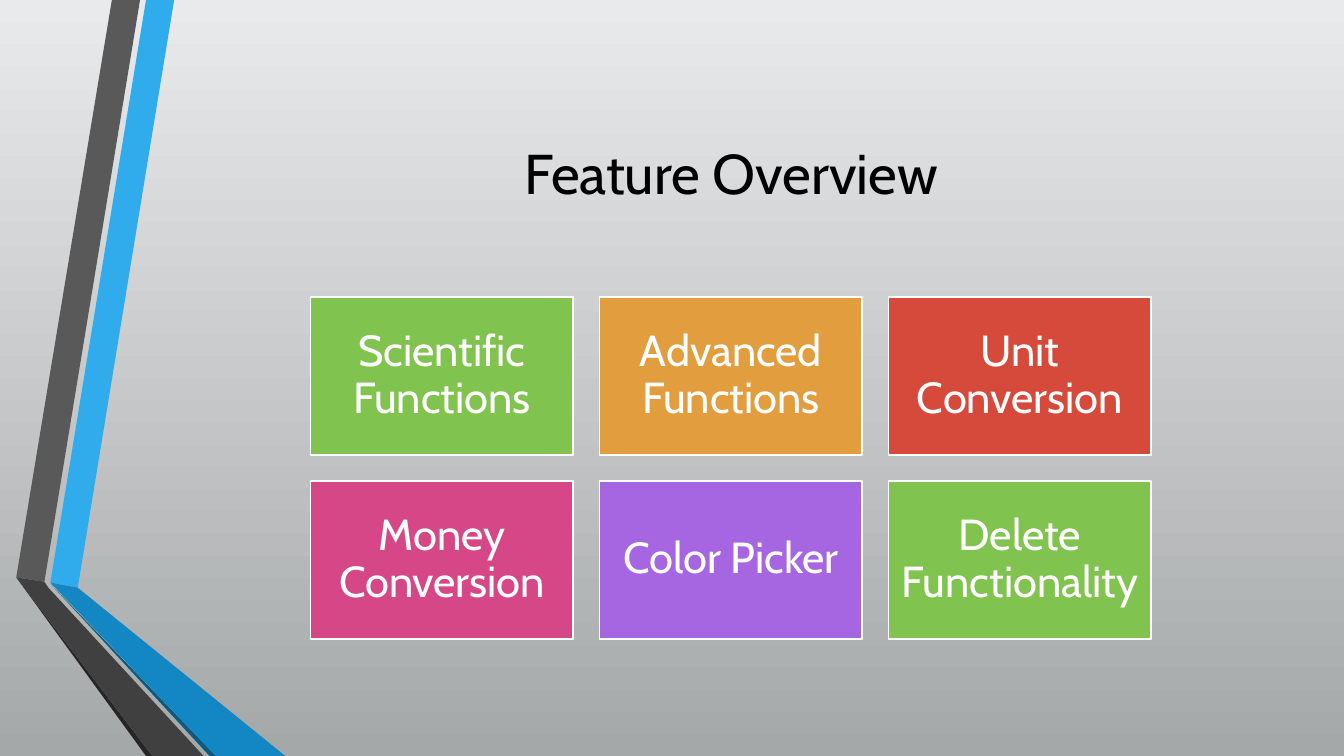
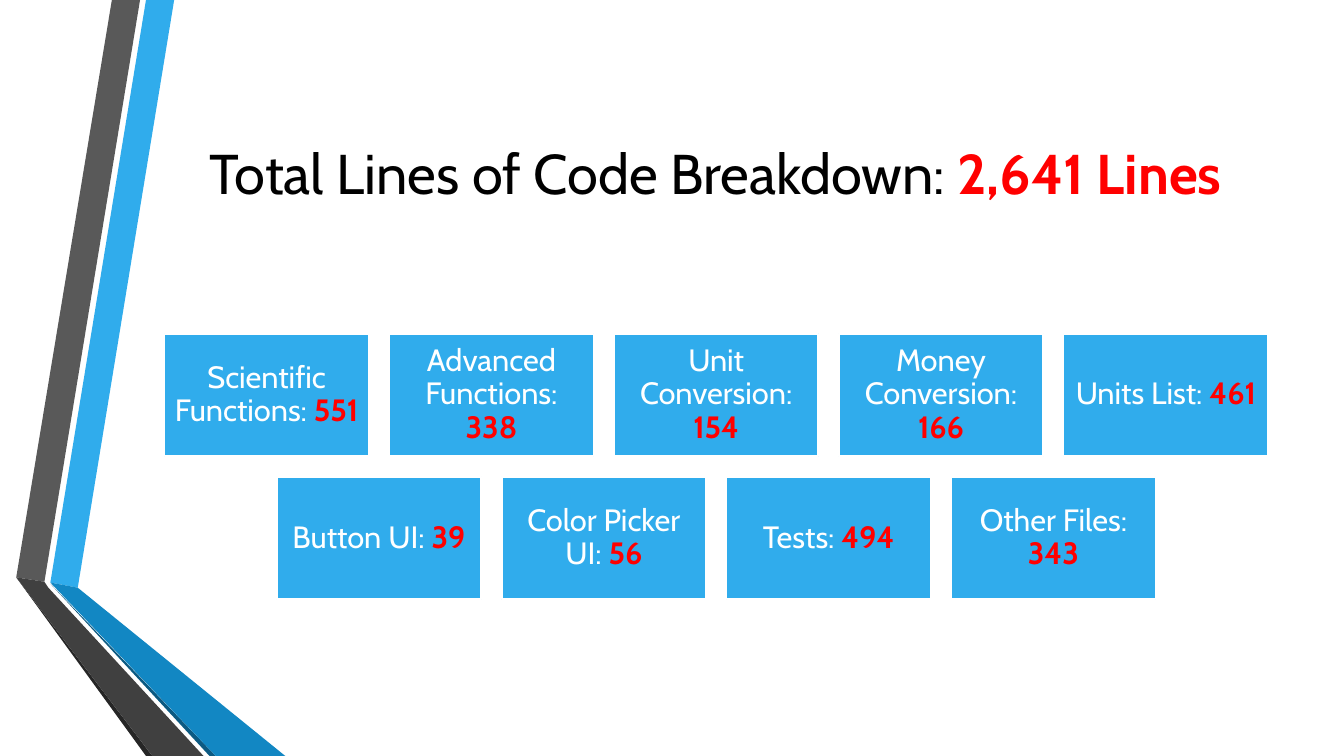
from dataclasses import dataclass

from pptx import Presentation
from pptx.dml.color import RGBColor as Rgb
from pptx.enum.shapes import MSO_SHAPE as Preset
from pptx.enum.text import MSO_ANCHOR as Anchor, PP_ALIGN as Align
from pptx.util import Cm, Pt


@dataclass(frozen=True)
class Theme:
    """Colours, font and type sizes shared by the pages."""
    font: str = "Cabin"
    title_size: int = 40
    feature_size: int = 31
    count_size: int = 22
    black: str = "000000"
    white: str = "FFFFFF"
    red: str = "FF0000"
    blue: str = "30ACEC"
    blue_mid: str = "1287C3"
    blue_dark: str = "0C5A82"
    grey: str = "595959"
    grey_mid: str = "404040"
    grey_dark: str = "262626"
    gradient: tuple = ("E9EAEB", "A5A8A9")
    green: str = "80C34F"
    orange: str = "E29D3E"
    brick: str = "D64A3B"
    pink: str = "D64787"
    purple: str = "A666E1"


THEME = Theme()

RIBBONS = [
    (THEME.blue, [(1.27, 14.68), (1.96, 14.81), (4.39, 0), (3.68, 0)]),
    (THEME.grey, [(3.53, 0), (2.82, 0), (0.41, 14.55), (1.12, 14.66)]),
    (THEME.grey_dark, [(0.41, 14.55), (3.68, 19.05), (3.84, 19.05)]),
    (THEME.blue_dark, [(1.27, 14.71), (5.28, 19.05), (5.44, 19.05)]),
    (THEME.blue_mid, [(1.27, 14.68), (5.44, 19.05), (7.19, 19.05), (1.96, 14.81)]),
    (THEME.grey_mid, [(5.13, 19.05), (1.22, 14.81), (1.12, 14.66), (0.41, 14.55),
                      (3.84, 19.05)]),
]

FEATURE_ROWS = [
    [("Scientific Functions", THEME.green), ("Advanced Functions", THEME.orange),
     ("Unit Conversion", THEME.brick)],
    [("Money Conversion", THEME.pink), ("Color Picker", THEME.purple),
     ("Delete Functionality", THEME.green)],
]

COUNT_ROWS = [
    [("Scientific Functions: ", "551"), ("Advanced Functions: ", "338"),
     ("Unit Conversion: ", "154"), ("Money Conversion: ", "166"),
     ("Units List: ", "461")],
    [("Button UI: ", "39"), ("Color Picker UI: ", "56"), ("Tests: ", "494"),
     ("Other Files: ", "343")],
]


def apply(target, values):
    """Set each named attribute on the target."""
    for name, value in values.items():
        setattr(target, name, value)


def paint(shape, colour):
    """Give a shape a solid fill and no shadow."""
    shape.shadow.inherit = False
    shape.fill.solid()
    shape.fill.fore_color.rgb = Rgb.from_string(colour)


def write(box, label, size, colour, number="", inset=0.25, spacing=1.0):
    """Write a centred label, with an optional bold red number after it."""
    frame = box.text_frame
    margins = {f"margin_{side}": Cm(inset) for side in ("left", "top", "right", "bottom")}
    apply(frame, {"word_wrap": True, "vertical_anchor": Anchor.MIDDLE, **margins})
    para = frame.paragraphs[0]
    apply(para, {"alignment": Align.CENTER, "line_spacing": spacing})
    for text, tint, bold in ((label, colour, False), (number, THEME.red, True)):
        if text:
            span = para.add_run()
            span.text = text
            apply(span.font, {"name": THEME.font, "size": Pt(size), "bold": bold})
            span.font.color.rgb = Rgb.from_string(tint)


def add_ribbons(page):
    """Draw the folded ribbons along the left edge."""
    for colour, points in RIBBONS:
        start, *rest = [(Cm(x), Cm(y)) for x, y in points]
        builder = page.shapes.build_freeform(*start)
        builder.add_line_segments(rest, close=True)
        ribbon = builder.convert_to_shape()
        paint(ribbon, colour)
        ribbon.line.fill.background()


def add_title(page, left, width, label, number=""):
    """Add the page title."""
    box = page.shapes.add_textbox(Cm(left), Cm(1.9), Cm(width), Cm(4.88))
    write(box, label, THEME.title_size, THEME.black, number)


def add_tiles(page, rows, centre, top, width, size, inset):
    """Lay out centred rows of tiles given as label, number and colour."""
    height, gap = width * 0.6, width * 0.1
    for row_index, row in enumerate(rows):
        left = centre - (len(row) * (width + gap) - gap) / 2
        for column, (label, number, colour) in enumerate(row):
            tile = page.shapes.add_shape(
                Preset.RECTANGLE, Cm(left + column * (width + gap)),
                Cm(top + row_index * (height + gap)), Cm(width), Cm(height))
            paint(tile, colour)
            tile.line.color.rgb = Rgb.from_string(THEME.white)
            tile.line.width = Pt(1.25)
            write(tile, label, size, THEME.white, number, inset, 0.9)


def add_page(deck):
    """Add a blank page with the shared ribbons."""
    page = deck.slides.add_slide(deck.slide_layouts[6])
    add_ribbons(page)
    return page


def set_gradient(page):
    """Shade the page background from top to bottom."""
    fill = page.background.fill
    fill.gradient()
    fill.gradient_angle = 270
    for stop, colour, position in zip(fill.gradient_stops, THEME.gradient, (0, 1)):
        stop.color.rgb = Rgb.from_string(colour)
        stop.position = position


def add_features(deck):
    """Build the feature overview page."""
    page = add_page(deck)
    set_gradient(page)
    add_title(page, 4.9, 27.05, "Feature Overview")
    rows = [[(label, "", colour) for label, colour in row] for row in FEATURE_ROWS]
    add_tiles(page, rows, 18.42, 7.49, 6.62, THEME.feature_size, 0.3)


def add_counts(deck):
    """Build the lines of code page."""
    page = add_page(deck)
    add_title(page, 4.11, 27.84, "Total Lines of Code Breakdown: ", "2,641 Lines")
    rows = [[(label, number, THEME.blue) for label, number in row] for row in COUNT_ROWS]
    add_tiles(page, rows, 18.05, 8.41, 5.15, THEME.count_size, 0.22)


def main():
    """Build and save the deck."""
    deck = Presentation()
    apply(deck, {"slide_width": Cm(33.87), "slide_height": Cm(19.05)})
    add_features(deck)
    add_counts(deck)
    deck.save("out.pptx")


if __name__ == "__main__":
    main()
